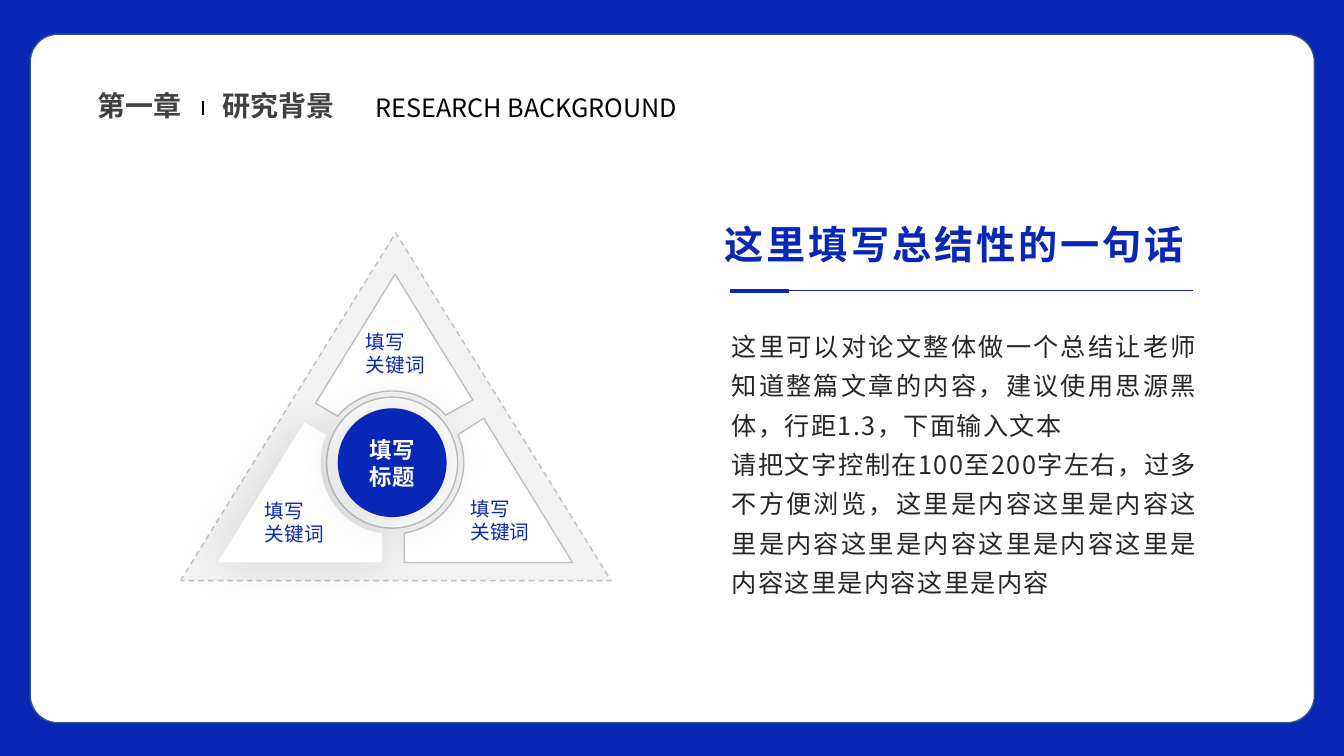
from dataclasses import dataclass
from math import cos, radians, sin

from lxml import etree
from pptx import Presentation
from pptx.dml.color import RGBColor
from pptx.enum.dml import MSO_LINE
from pptx.enum.shapes import MSO_CONNECTOR, MSO_SHAPE
from pptx.enum.text import MSO_ANCHOR, MSO_AUTO_SIZE, PP_ALIGN
from pptx.oxml.ns import qn
from pptx.util import Inches, Pt

LEFT, JUSTIFY = PP_ALIGN.LEFT, PP_ALIGN.JUSTIFY
OVAL, TRIANGLE = MSO_SHAPE.OVAL, MSO_SHAPE.ISOSCELES_TRIANGLE
RECTANGLE, ROUNDED = MSO_SHAPE.RECTANGLE, MSO_SHAPE.ROUNDED_RECTANGLE
FONT = "Noto Sans CJK SC"
COLORS = {
    "blue": "0927B6", "edge": "325491", "white": "FFFFFF", "black": "000000",
    "heading": "404040", "body": "262626", "pale": "F2F2F2",
    "grey": "BFBFBF", "shadow": "222A35",
}

# Every place is a percentage of the slide's width or height
WIDTH, HEIGHT = Inches(13.333), Inches(7.5)
ASPECT = WIDTH / HEIGHT
HUB = (29.18, 61.2)
HUB_RADIUS = 5.33
KEYWORD = "填写\v关键词"
Point = tuple[float, float]


@dataclass
class Label:
    text: str
    left: float
    top: float
    width: float
    height: float
    size: float
    color: str
    bold: bool = False
    align: PP_ALIGN = LEFT
    wrap: bool = False
    spacing: int = 0
    leading: float = 1.0


@dataclass
class Rule:
    start: Point
    end: Point
    color: str
    weight: float


@dataclass
class Sector:
    before: list[Point]
    arc: Point
    after: list[Point]
    raised: bool = False


TITLE = Label("这里填写总结性的一句话", 53.18, 28.53, 40.2, 7.6, 28, "blue",
              bold=True, wrap=True, spacing=200)
LABELS = [
    Label("第一章", 6.53, 11.07, 7.8, 5.87, 20, "heading", bold=True),
    Label("研究背景", 15.83, 11.07, 9.9, 5.87, 20, "heading", bold=True),
    Label("RESEARCH BACKGROUND", 27.23, 11.6, 30.45, 5.33, 18, "black",
          align=JUSTIFY, wrap=True),
    Label("填写\n标题", 26.78, 57.07, 4.88, 8.53, 16, "white", bold=True, align=JUSTIFY),
    *(Label(KEYWORD, left, top, 5.93, 7.6, 14, "blue")
      for left, top in ((26.48, 42.93), (34.28, 65.07), (18.98, 65.33))),
    Label("这里可以对论文整体做一个总结让老师知道整篇文章的内容，建议使用思源黑体，"
          "行距1.3，下面输入文本\n"
          "请把文字控制在100至200字左右，过多不方便浏览，" + "这里是内容" * 8,
          53.7, 42, 36.15, 42.13, 18, "body", align=JUSTIFY, wrap=True,
          spacing=100, leading=1.3),
]
RULES = [
    Rule((88.73, 38.4), (56.7, 38.4), "blue", 0.5),
    Rule((58.73, 38.53), (54.3, 38.53), "blue", 3),
    Rule((15.08, 13.33), (15.08, 15.2), "black", 1.5),
]
SECTORS = [
    Sector([(29.4, 36.27), (35.18, 52.93), (33.15, 54.93)], (-45, -135),
           [(25.13, 55.07), (23.48, 53.33)]),
    Sector([(22.65, 55.87)], (203, 102),
           [(28.43, 70.53), (28.43, 74.4), (16.2, 74.4)], raised=True),
    Sector([(36, 55.33), (42.6, 74.4), (30.08, 74.4), (30.08, 70.53)], (78, -23), []),
]


def across(share: float) -> int:
    return round(WIDTH * share / 100)


def down(share: float) -> int:
    return round(HEIGHT * share / 100)


def paint(shape, fill: str, line: str | None = None, raised: bool = False) -> None:
    shape.shadow.inherit = False
    shape.fill.solid()
    shape.fill.fore_color.rgb = RGBColor.from_string(COLORS[fill])
    if line:
        shape.line.color.rgb = RGBColor.from_string(COLORS[line])
        shape.line.width = Pt(1)
    else:
        shape.line.fill.background()
    if raised:
        effects = shape.element.spPr.find(qn("a:effectLst"))
        shadow = etree.SubElement(effects, qn("a:outerShdw"), blurRad=str(Pt(32)),
                                  dist="0", dir="0", algn="ctr", rotWithShape="0")
        color = etree.SubElement(shadow, qn("a:srgbClr"), val=COLORS["shadow"])
        etree.SubElement(color, qn("a:alpha"), val="15000")


def add_block(shapes, kind: MSO_SHAPE, left: float, top: float, width: float,
              height: float, fill: str, line: str | None = None, raised: bool = False):
    block = shapes.add_shape(kind, across(left), down(top), across(width), down(height))
    paint(block, fill, line, raised)
    return block


def add_disc(shapes, diameter: float, fill: str, line: str | None = None,
             raised: bool = False) -> None:
    height = diameter * ASPECT
    add_block(shapes, OVAL, HUB[0] - diameter / 2, HUB[1] - height / 2,
              diameter, height, fill, line, raised)


def arc_points(start: float, end: float, steps: int = 24) -> list[Point]:
    angles = [radians(start + (end - start) * step / steps) for step in range(steps + 1)]
    return [(HUB[0] + HUB_RADIUS * cos(angle),
             HUB[1] + HUB_RADIUS * ASPECT * sin(angle)) for angle in angles]


def add_sector(shapes, sector: Sector) -> None:
    outline = sector.before + arc_points(*sector.arc) + sector.after
    points = [(across(x), down(y)) for x, y in outline]
    builder = shapes.build_freeform(*points[0])
    builder.add_line_segments(points[1:], close=True)
    paint(builder.convert_to_shape(), "white", None if sector.raised else "grey",
          sector.raised)


def write(box, label: Label) -> None:
    box.left, box.top = across(label.left), down(label.top)
    box.width, box.height = across(label.width), down(label.height)
    frame = box.text_frame
    frame.text = label.text
    frame.word_wrap = label.wrap
    frame.auto_size = MSO_AUTO_SIZE.SHAPE_TO_FIT_TEXT
    frame.vertical_anchor = MSO_ANCHOR.TOP
    for para in frame.paragraphs:
        para.alignment = label.align
        para.line_spacing = label.leading
        for span in para.runs:
            span.font.name = FONT
            span.font.size = Pt(label.size)
            span.font.bold = label.bold
            span.font.color.rgb = RGBColor.from_string(COLORS[label.color])
            properties = span.font._element
            etree.SubElement(properties, qn("a:ea"), typeface=FONT)
            if label.spacing:
                properties.set("spc", str(label.spacing))


def add_rule(shapes, rule: Rule) -> None:
    line = shapes.add_connector(MSO_CONNECTOR.STRAIGHT,
                                across(rule.start[0]), down(rule.start[1]),
                                across(rule.end[0]), down(rule.end[1]))
    line.line.color.rgb = RGBColor.from_string(COLORS[rule.color])
    line.line.width = Pt(rule.weight)
    etree.SubElement(line.element.spPr, qn("a:effectLst"))


def main() -> None:
    deck = Presentation()
    deck.slide_width, deck.slide_height = WIDTH, HEIGHT
    page = deck.slides.add_slide(deck.slide_layouts[5])
    shapes = page.shapes
    title = shapes.title

    # Blue frame and white panel
    add_block(shapes, RECTANGLE, 0, 0, 100, 100, "blue")
    panel = add_block(shapes, ROUNDED, 2.25, 4.53, 95.55, 91.07, "white", "edge")
    panel.adjustments[0] = 0.04

    # Triangle with three sectors around a hub
    diagram = shapes.add_group_shape().shapes
    triangle = add_block(diagram, TRIANGLE, 13.43, 30.8, 32.03, 46, "pale", "grey")
    triangle.line.dash_style = MSO_LINE.DASH
    add_disc(diagram, 9.75, "white", "grey")
    for sector in SECTORS:
        add_sector(diagram, sector)
    add_disc(diagram, 8.1, "blue", raised=True)

    # Texts and rules, with the title brought in front of the panel
    for label in LABELS:
        write(shapes.add_textbox(0, 0, 0, 0), label)
    for rule in RULES:
        add_rule(shapes, rule)
    title.element.getparent().append(title.element)
    write(title, TITLE)

    deck.save("out.pptx")


if __name__ == "__main__":
    main()
